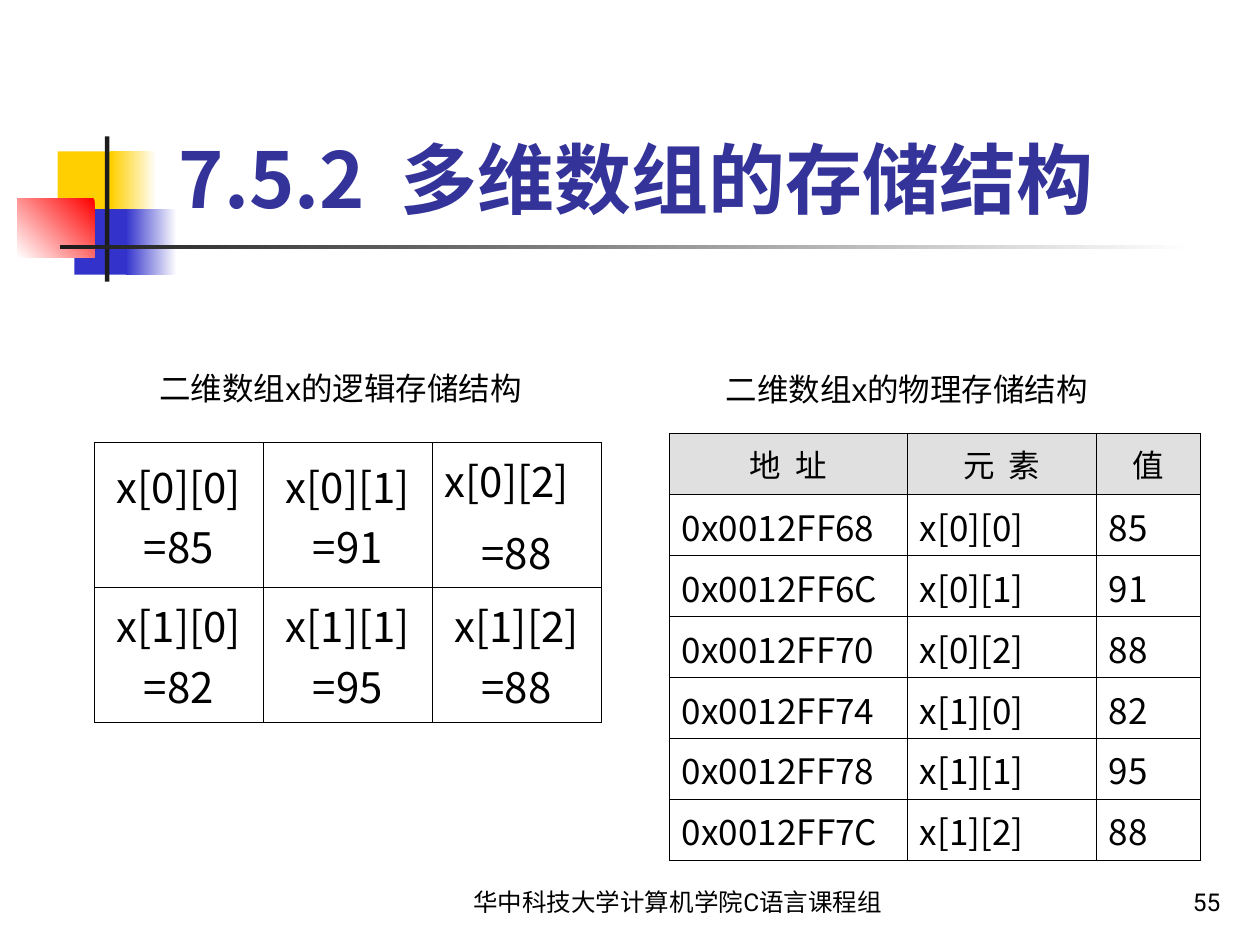
"""Build the slide on how a two-dimensional array is stored."""
import pptx
import pptx.dml.color
import pptx.enum.shapes
import pptx.enum.text
import pptx.oxml.ns
import pptx.util
from lxml import etree

Pt = pptx.util.Pt
ALIGN = pptx.enum.text.PP_ALIGN
ANCHOR = pptx.enum.text.MSO_ANCHOR
AUTO_SIZE = pptx.enum.text.MSO_AUTO_SIZE
CJK = "Noto Sans CJK SC"
COLORS = {
    "black": "000000", "white": "FFFFFF", "title": "333399", "header": "E0E0E0",
    "yellow": "FFCF01", "blue": "3333CC", "red": "FF0000", "ink": "1C1C1C",
}


def rgb(name):
    return pptx.dml.color.RGBColor.from_string(COLORS[name])


def add_span(para, text, size, font=CJK, color="black", bold=False, spacing=0):
    span = para.add_run()
    span.text = text
    span.font.size = Pt(size)
    span.font.bold = bold
    span.font.color.rgb = rgb(color)
    span.font.name = font
    properties = span._r.get_or_add_rPr()
    etree.SubElement(properties, pptx.oxml.ns.qn("a:ea"), typeface=CJK)
    if spacing:
        properties.set("spc", str(spacing * 100))


def add_words(para, text, size, gap=0, **style):
    """Write the words, widening the space between them by gap points."""
    for index, word in enumerate(text.split(" ")):
        if index:
            add_span(para, " ", size, spacing=gap, **style)
        add_span(para, word, size, **style)


def add_block(page, place, color, fade_from=None, fade_to=None, angle=180):
    block = page.shapes.add_shape(
        pptx.enum.shapes.MSO_SHAPE.RECTANGLE, *map(Pt, place))
    block.shadow.inherit = False
    block.line.fill.background()
    if fade_from is None:
        block.fill.solid()
        block.fill.fore_color.rgb = rgb(color)
        return
    block.fill.gradient()
    block.fill.gradient_angle = angle
    for stop, position, name in zip(block.fill.gradient_stops, (0, 1), (fade_from, fade_to)):
        stop.position = position
        stop.color.rgb = rgb(name)


def add_ornament(page):
    add_block(page, (33, 86.5, 35, 37.5), "yellow")
    add_block(page, (63.5, 86.5, 26, 37.5), "yellow", "white", "yellow")
    add_block(page, (42.5, 119.5, 33, 37.5), "blue")
    add_block(page, (72, 119.5, 29, 37.5), "blue", "white", "blue")
    add_block(page, (10, 113.5, 44, 33.5), "red", "red", "white", 225)
    add_block(page, (60, 78, 2.5, 83), "ink")
    add_block(page, (34.5, 140, 648, 2.5), "ink", "white", "ink")


def set_title(page, text):
    title = page.shapes.title
    title.left, title.top, title.width, title.height = map(Pt, (42.5, 16.5, 652, 115))
    frame = title.text_frame
    frame.auto_size = AUTO_SIZE.NONE
    frame.vertical_anchor = ANCHOR.BOTTOM
    frame.margin_right = Pt(17)
    para = frame.paragraphs[0]
    para.alignment = ALIGN.CENTER
    add_words(para, text, 44, gap=10, color="title", bold=True)


def add_text(page, place, text, size, font, align, anchor, wrap=True):
    box = page.shapes.add_textbox(*map(Pt, place))
    frame = box.text_frame
    frame.word_wrap = wrap
    frame.auto_size = AUTO_SIZE.NONE if wrap else AUTO_SIZE.SHAPE_TO_FIT_TEXT
    frame.vertical_anchor = anchor
    para = frame.paragraphs[0]
    para.alignment = align
    add_span(para, text, size, font)


def draw_borders(cell):
    properties = cell._tc.get_or_add_tcPr()
    for side in ("lnL", "lnR", "lnT", "lnB"):
        line = etree.SubElement(properties, pptx.oxml.ns.qn("a:" + side), w=str(Pt(0.45)))
        fill = etree.SubElement(line, pptx.oxml.ns.qn("a:solidFill"))
        etree.SubElement(fill, pptx.oxml.ns.qn("a:srgbClr"), val=COLORS["black"])


def add_grid(page, left, top, widths, heights):
    table = page.shapes.add_table(
        len(heights), len(widths), Pt(left), Pt(top), Pt(sum(widths)), Pt(sum(heights))).table
    table.first_row = table.horz_banding = False
    for column, width in zip(table.columns, widths):
        column.width = Pt(width)
    for row, height in zip(table.rows, heights):
        row.height = Pt(height)
    for cell in table.iter_cells():
        draw_borders(cell)
        cell.fill.background()
        cell.vertical_anchor = ANCHOR.MIDDLE
    return table


def add_logical_table(page, values):
    table = add_grid(page, 54, 253, [96.5] * 3, [71.5, 64.5])
    for i, row in enumerate(values):
        for j, value in enumerate(row):
            frame = table.cell(i, j).text_frame
            name, result = frame.paragraphs[0], frame.add_paragraph()
            name.alignment = result.alignment = ALIGN.CENTER
            add_span(name, f"x[{i}][{j}]", 24)
            add_span(result, f"={value}", 24)
    corner = table.cell(0, 2).text_frame.paragraphs
    corner[0].alignment = ALIGN.LEFT
    corner[1].space_before = Pt(6)


def add_physical_table(page, values):
    rows = [("地 址", "元 素", "值")]
    for i, row in enumerate(values):
        for j, value in enumerate(row):
            address = 0x0012FF68 + 4 * (i * len(row) + j)
            rows.append((f"0x{address:08X}", f"x[{i}][{j}]", str(value)))
    table = add_grid(page, 382.5, 247.5, [136, 108, 59.5], [34.85] * len(rows))
    for i, row in enumerate(rows):
        for j, text in enumerate(row):
            cell = table.cell(i, j)
            para = cell.text_frame.paragraphs[0]
            if i == 0:
                cell.fill.solid()
                cell.fill.fore_color.rgb = rgb("header")
                para.alignment = ALIGN.CENTER
            add_words(para, text, 20 if i else 18, gap=4)


def main():
    deck = pptx.Presentation()
    deck.slide_width, deck.slide_height = Pt(720), Pt(540)
    page = deck.slides.add_slide(deck.slide_layouts[5])
    values = [[85, 91, 88], [82, 95, 88]]
    add_ornament(page)
    set_title(page, "7.5.2 多维数组的存储结构")
    add_logical_table(page, values)
    add_text(page, (84, 207.5, 234, 29), "二维数组x的逻辑存储结构", 18, "Arial",
             ALIGN.LEFT, ANCHOR.TOP, wrap=False)
    add_text(page, (407.5, 207.5, 234, 29), "二维数组x的物理存储结构", 18, "Arial",
             ALIGN.LEFT, ANCHOR.MIDDLE, wrap=False)
    add_physical_table(page, values)
    add_text(page, (241, 491, 292.5, 36), "华中科技大学计算机学院C语言课程组", 14, "Roboto",
             ALIGN.CENTER, ANCHOR.BOTTOM)
    add_text(page, (554.5, 491.5, 150, 36), "55", 14, "Roboto", ALIGN.RIGHT, ANCHOR.BOTTOM)
    deck.save("out.pptx")


if __name__ == "__main__":
    main()
